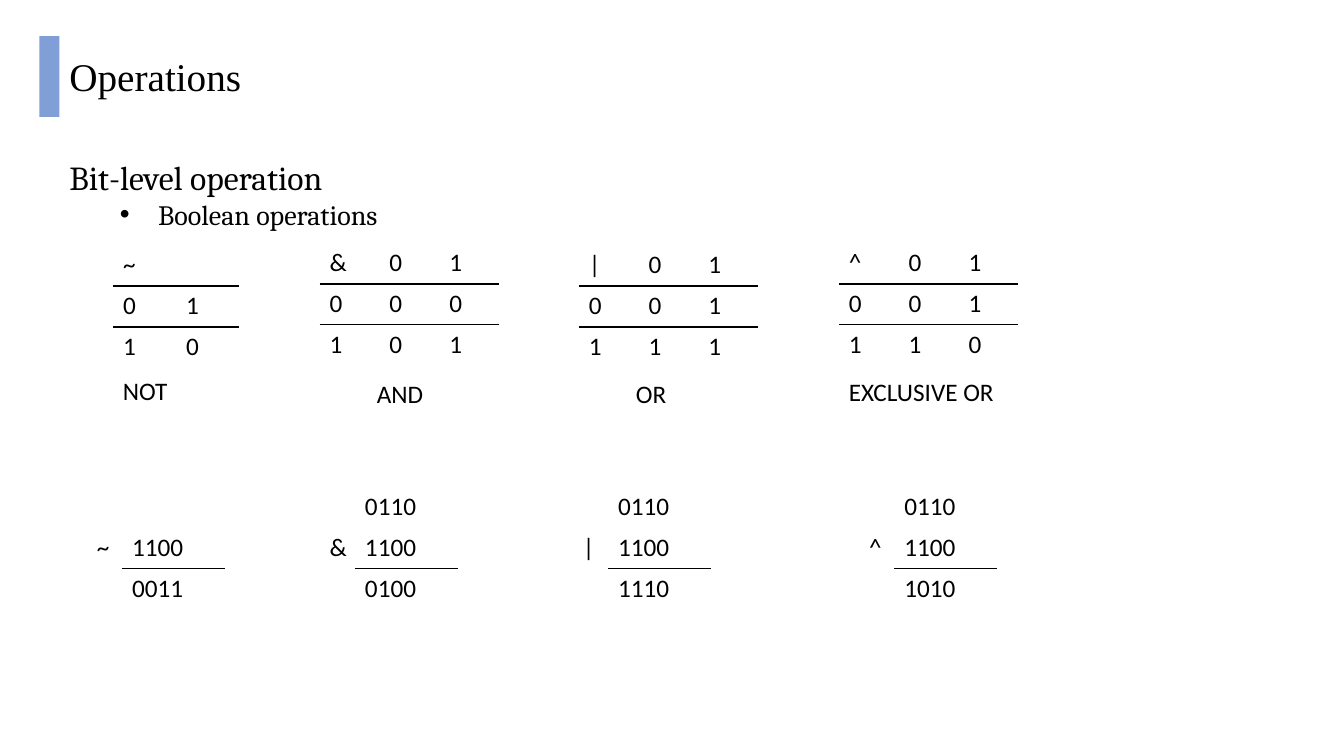
from dataclasses import dataclass

from lxml.etree import SubElement
from pptx import Presentation
from pptx.dml.color import RGBColor
from pptx.enum.shapes import MSO_SHAPE
from pptx.enum.text import MSO_ANCHOR, MSO_AUTO_SIZE
from pptx.oxml.ns import qn
from pptx.slide import Slide
from pptx.table import Table, _Cell
from pptx.text.text import TextFrame, _Paragraph
from pptx.util import Inches, Pt

BLACK = RGBColor(0x00, 0x00, 0x00)
ACCENT = RGBColor(0x44, 0x72, 0xC4)
ACCENT_OPACITY = 68
NO_STYLE_NO_GRID = "{2D5ABB26-0587-4C30-8999-92F81FD0307C}"
ROW_HEIGHT = 0.407
TRUTH_WIDTH = 0.593
OPERATOR_WIDTH, OPERAND_WIDTH = 0.35, 1.02
EXAMPLE_TOP = 4.83


@dataclass(frozen=True)
class Operation:
    name: str
    symbol: str
    truth_rows: tuple[str, ...]
    truth_left: float
    truth_top: float
    name_left: float
    name_top: float
    example: tuple[str, str, str]
    example_left: float
    truth_width: float = TRUTH_WIDTH
    name_width: float = 0.84


OPERATIONS = (
    Operation("NOT", "~", ("~ ", "01", "10"), 1.12, 2.43, 1.12, 3.67,
              ("", "1100", "0011"), 0.86, truth_width=0.625),
    Operation("AND", "&", ("&01", "000", "101"), 3.17, 2.41, 3.64, 3.7,
              ("0110", "1100", "0100"), 3.17),
    Operation("OR", "|", ("|01", "001", "111"), 5.74, 2.43, 6.21, 3.7,
              ("0110", "1100", "1110"), 5.68),
    Operation("EXCLUSIVE OR", "^", ("^01", "001", "110"), 8.32, 2.41, 8.32, 3.68,
              ("0110", "1100", "1010"), 8.52, name_width=1.78),
)


def write(p: _Paragraph, text: str, *, size: float = 18, font: str = "Calibri",
          color: RGBColor = BLACK) -> None:
    r = p.add_run()
    r.text = text
    r.font.size = Pt(size)
    r.font.name = font
    r.font.color.rgb = color


def add_text_box(s: Slide, left: float, top: float, width: float,
                 height: float) -> TextFrame:
    tf = s.shapes.add_textbox(Inches(left), Inches(top), Inches(width),
                              Inches(height)).text_frame
    tf.word_wrap = True
    tf.auto_size = MSO_AUTO_SIZE.SHAPE_TO_FIT_TEXT
    return tf


def add_bullet(p: _Paragraph) -> None:
    p.level = 1
    pPr = p._p.get_or_add_pPr()
    pPr.set("marL", str(Inches(0.88)))
    pPr.set("indent", str(Inches(-0.38)))
    SubElement(pPr, qn("a:buFont"), typeface="Arial")
    SubElement(pPr, qn("a:buChar"), char="•")


def add_plain_table(s: Slide, left: float, top: float, widths: list[float],
                    rows: int) -> Table:
    """Add a table without style, banding or grid."""
    table = s.shapes.add_table(rows, len(widths), Inches(left), Inches(top),
                               Inches(sum(widths)), Inches(rows * ROW_HEIGHT)).table
    table.first_row = table.horz_banding = False
    table._tbl.tblPr.find(qn("a:tableStyleId")).text = NO_STYLE_NO_GRID
    for column, width in zip(table.columns, widths):
        column.width = Inches(width)
    for row in table.rows:
        row.height = Inches(ROW_HEIGHT)
    return table


def add_border(cell: _Cell, side: str) -> None:
    ln = SubElement(cell._tc.get_or_add_tcPr(), qn(f"a:ln{side}"), w=str(Pt(1)))
    fill = SubElement(ln, qn("a:solidFill"))
    SubElement(fill, qn("a:srgbClr"), val=str(BLACK))


def fill_cell(cell: _Cell, text: str, borders: str = "") -> None:
    """Write a cell; borders names its ruled sides, T and B."""
    for side in borders:
        add_border(cell, side)
    cell.fill.background()
    if text.strip():
        write(cell.text_frame.paragraphs[0], text)


def add_truth_table(s: Slide, op: Operation) -> None:
    table = add_plain_table(s, op.truth_left, op.truth_top,
                            [op.truth_width] * len(op.truth_rows[0]),
                            len(op.truth_rows))
    for i, (values, borders) in enumerate(zip(op.truth_rows, ("B", "TB", "T"))):
        for j, value in enumerate(values):
            fill_cell(table.cell(i, j), value, borders)


def add_example(s: Slide, op: Operation) -> None:
    table = add_plain_table(s, op.example_left, EXAMPLE_TOP,
                            [OPERATOR_WIDTH, OPERAND_WIDTH], len(op.example))
    operator = table.cell(0, 0)
    operator.merge(table.cell(2, 0))
    operator.vertical_anchor = MSO_ANCHOR.MIDDLE
    fill_cell(operator, op.symbol)
    for i, (value, borders) in enumerate(zip(op.example, ("", "B", "T"))):
        fill_cell(table.cell(i, 1), value, borders)


def add_title(s: Slide) -> None:
    bar = s.shapes.add_shape(MSO_SHAPE.RECTANGLE, Inches(0.39), Inches(0.36),
                             Inches(0.2), Inches(0.8))
    bar.shadow.inherit = False
    bar.line.fill.background()
    bar.fill.solid()
    bar.fill.fore_color.rgb = ACCENT
    color = bar._element.spPr.find(f".//{qn('a:srgbClr')}")
    SubElement(color, qn("a:alpha"), val=str(ACCENT_OPACITY * 1000))
    tf = add_text_box(s, 0.59, 0.47, 6.3, 0.57)
    write(tf.paragraphs[0], "Operations", size=28, font="Times New Roman")


def add_topic(s: Slide) -> None:
    tf = add_text_box(s, 0.59, 1.51, 5.15, 0.84)
    write(tf.paragraphs[0], "Bit-level operation", size=24, font="Cambria")
    p = tf.add_paragraph()
    add_bullet(p)
    write(p, "Boolean operations", size=20, font="Cambria")


def main() -> None:
    prs = Presentation()
    prs.slide_width, prs.slide_height = Inches(13.33), Inches(7.5)
    s = prs.slides.add_slide(prs.slide_layouts[6])
    add_title(s)
    add_topic(s)
    for op in OPERATIONS:
        add_truth_table(s, op)
        tf = add_text_box(s, op.name_left, op.name_top, op.name_width, 0.4)
        write(tf.paragraphs[0], op.name)
        add_example(s, op)
    prs.save("out.pptx")


if __name__ == "__main__":
    main()
